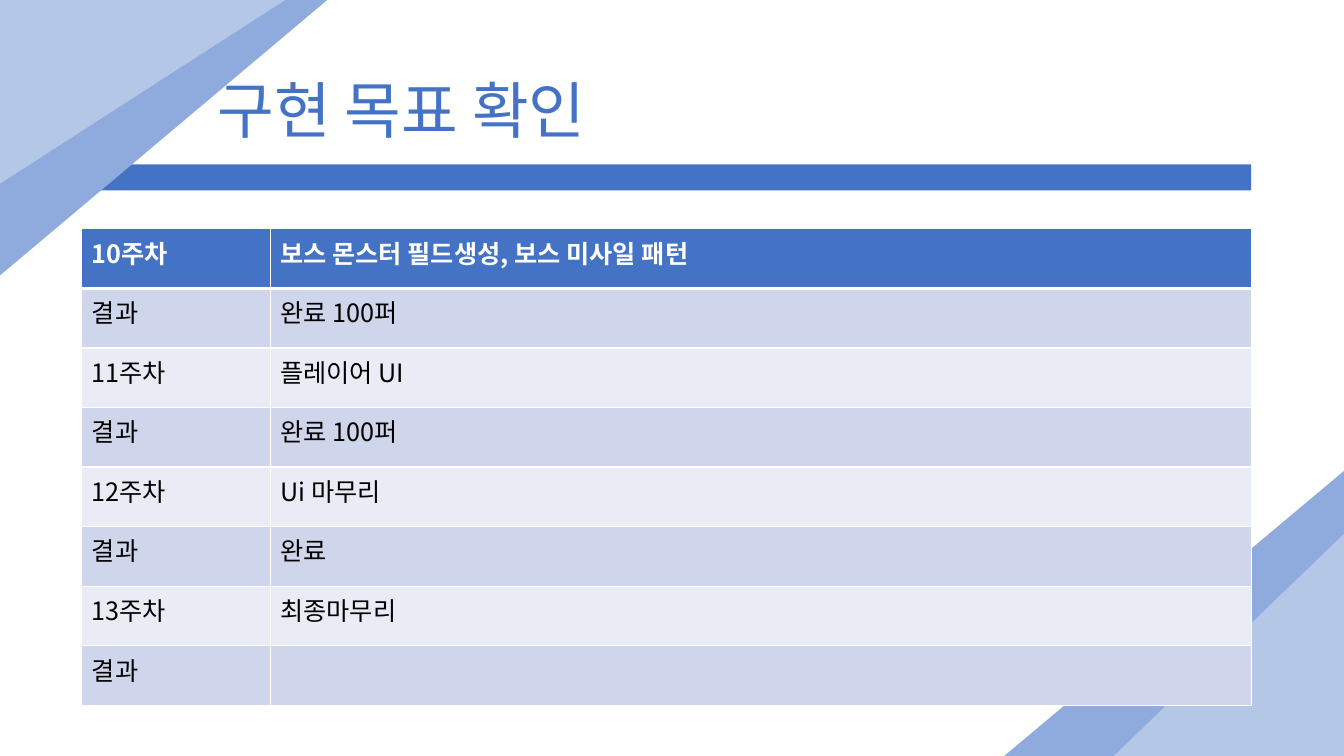
from lxml import etree
from pptx import Presentation
from pptx.dml.color import RGBColor
from pptx.enum.shapes import MSO_SHAPE
from pptx.enum.text import MSO_ANCHOR, MSO_AUTO_SIZE, PP_ALIGN
from pptx.oxml.ns import qn
from pptx.util import Inches, Pt

RECTANGLE = MSO_SHAPE.RECTANGLE
MIDDLE = MSO_ANCHOR.MIDDLE
NO_AUTOFIT = MSO_AUTO_SIZE.NONE
LEFT = PP_ALIGN.LEFT
TITLE_ONLY = 5

FONT = "Noto Sans CJK KR"
BLUE, MID_BLUE, PALE_BLUE = "4472C4", "8FAADC", "B4C7E7"
BAND_DARK, BAND_LIGHT = "CFD5EA", "E9EBF5"
WHITE, BLACK = "FFFFFF", "000000"

CONTENT_LEFT, CONTENT_WIDTH = 6.08, 87.02
CORNER_BANDS = [
    ((-11.63, -18.4, 32.41, 41.6), 319.9, MID_BLUE),
    ((-13.28, -21.07, 33.91, 37.6), 327.2, PALE_BLUE),
    ((75.32, 77.33, 37.28, 39.47), 320, MID_BLUE),
    ((81.47, 82.27, 31.81, 36.67), 316, PALE_BLUE),
]
WEEKLY_GOALS = [
    ("10주차", "보스 몬스터 필드생성, 보스 미사일 패턴"),
    ("결과", "완료 100퍼"),
    ("11주차", "플레이어 UI"),
    ("결과", "완료 100퍼"),
    ("12주차", "Ui 마무리"),
    ("결과", "완료"),
    ("13주차", "최종마무리"),
    ("결과", ""),
]


def color(value):
    return RGBColor.from_string(value)


class SlideBuilder:
    def __init__(self, deck):
        self.width, self.height = deck.slide_width, deck.slide_height
        self.page = deck.slides.add_slide(deck.slide_layouts[TITLE_ONLY])

    def across(self, percent):
        return round(self.width * percent / 100)

    def down(self, percent):
        return round(self.height * percent / 100)

    def area(self, left, top, width, height):
        return self.across(left), self.down(top), self.across(width), self.down(height)

    def add_text(self, para, text, size, ink, bold=False):
        span = para.add_run()
        span.text = text
        span.font.name = FONT
        span.font.size = Pt(size)
        span.font.bold = bold
        span.font.color.rgb = color(ink)
        etree.SubElement(span.font._element, qn("a:ea"), typeface=FONT)

    def title(self, text, place, indent):
        box = self.page.shapes.title
        box.left, box.top, box.width, box.height = self.area(*place)
        frame = box.text_frame
        frame.word_wrap = True
        frame.auto_size = NO_AUTOFIT
        frame.vertical_anchor = MIDDLE
        para = frame.paragraphs[0]
        para.alignment = LEFT
        para.line_spacing = 0.9
        para._p.get_or_add_pPr().set("marL", str(self.across(indent)))
        self.add_text(para, text, 44, BLUE)

    def rectangle(self, place, fill, rotation=0):
        box = self.page.shapes.add_shape(RECTANGLE, *self.area(*place))
        box.shadow.inherit = False
        box.rotation = rotation
        box.fill.solid()
        box.fill.fore_color.rgb = color(fill)
        box.line.fill.background()

    def borders(self, cell, top, bottom):
        properties = cell._tc.get_or_add_tcPr()
        for side, points in (("L", 1), ("R", 1), ("T", top), ("B", bottom)):
            line = etree.SubElement(properties, qn(f"a:ln{side}"), w=str(Pt(points)))
            fill = etree.SubElement(line, qn("a:solidFill"))
            etree.SubElement(fill, qn("a:srgbClr"), val=WHITE)

    def table(self, rows, place, column_widths):
        frame = self.page.shapes.add_table(len(rows), len(column_widths), *self.area(*place))
        grid = frame.table
        for column, width in zip(grid.columns, column_widths):
            column.width = self.across(width)
        for index, texts in enumerate(rows):
            header = index == 0
            fill = BLUE if header else BAND_DARK if index % 2 else BAND_LIGHT
            for cell, text in zip(grid.rows[index].cells, texts):
                self.borders(cell, 3 if index == 1 else 1, 3 if header else 1)
                cell.fill.solid()
                cell.fill.fore_color.rgb = color(fill)
                if text:
                    para = cell.text_frame.paragraphs[0]
                    self.add_text(para, text, 18, WHITE if header else BLACK, header)


def main():
    deck = Presentation()
    deck.slide_width, deck.slide_height = Inches(13.33), Inches(7.5)
    slide = SlideBuilder(deck)
    slide.title("구현 목표 확인", (6.9, 5.33, 86.27, 19.33), 8.55)
    slide.rectangle((CONTENT_LEFT, 21.73, CONTENT_WIDTH, 3.47), BLUE)
    for place, rotation, fill in CORNER_BANDS:
        slide.rectangle(place, fill, rotation)
    slide.table(WEEKLY_GOALS, (CONTENT_LEFT, 30.27, CONTENT_WIDTH, 63.07), (14.03, 72.99))
    deck.save("out.pptx")


if __name__ == "__main__":
    main()
